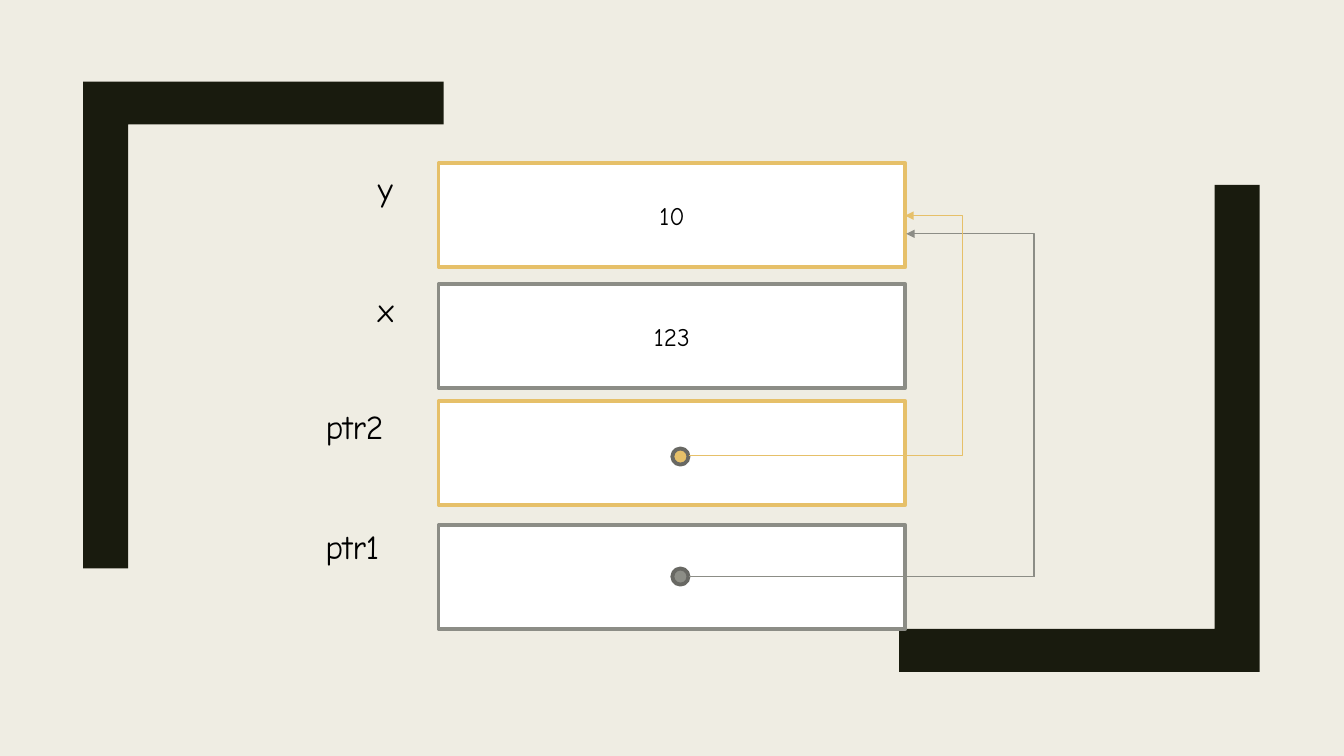
from lxml import etree
from pptx import Presentation, util as u
from pptx.dml.color import RGBColor
from pptx.enum import shapes, text
from pptx.oxml import ns

CREAM = RGBColor(0xEF, 0xED, 0xE3)
INK = RGBColor(0x19, 0x1B, 0x0E)
WHITE = RGBColor(0xFF, 0xFF, 0xFF)
BLACK = RGBColor(0, 0, 0)
GREY = RGBColor(0x8C, 0x8D, 0x86)
GOLD = RGBColor(0xE6, 0xC0, 0x69)
DOT_EDGE = RGBColor(0x68, 0x68, 0x63)

presentation = Presentation()
presentation.slide_width = u.Inches(13.33)
presentation.slide_height = u.Inches(7.5)
slide = presentation.slides.add_slide(presentation.slide_layouts[6])
slide.background.fill.solid()
slide.background.fill.fore_color.rgb = CREAM

# Grid of 100 columns by 100 rows
COLUMN = presentation.slide_width / 100
ROW = presentation.slide_height / 100


def grid(*values):
    """Turn alternating column and row counts into lengths."""
    return [round(value * (ROW if index % 2 else COLUMN))
            for index, value in enumerate(values)]


def write(shape, words, size):
    """Put one formatted run into a shape's first paragraph."""
    run = shape.text_frame.paragraphs[0].add_run()
    run.text = words
    formats = {"name": "Comic Neue", "size": u.Pt(size)}
    for name, value in formats.items():
        setattr(run.font, name, value)
    run.font.color.rgb = BLACK


# Corner brackets: the second is the first turned half round
bracket = [(6.18, 75.2), (6.18, 10.8), (33, 10.8), (33, 16.47),
           (9.53, 16.47), (9.53, 75.2)]
turned = [(99.9 - column, 99.67 - row) for column, row in bracket]
for outline in (turned, bracket):
    points = [grid(*point) for point in outline]
    builder = slide.shapes.build_freeform(*points[0])
    builder.add_line_segments(points[1:], close=True)
    shape = builder.convert_to_shape()
    shape.shadow.inherit = False
    shape.fill.solid()
    shape.fill.fore_color.rgb = INK
    shape.line.fill.background()

# Memory cells: label, value, colour, cell top, label left, top and width
cells = [
    ("ptr1", "", GREY, 69.47, 23.48, 68.93, 6.38),
    ("ptr2", "", GOLD, 53.07, 23.48, 53.07, 6.98),
    ("x", "123", GREY, 37.6, 27.38, 37.6, 3.15),
    ("y", "10", GOLD, 21.6, 27.38, 21.6, 2.85),
]
for label, value, colour, top, label_left, label_top, label_width in cells:
    cell = slide.shapes.add_shape(shapes.MSO_SHAPE.RECTANGLE,
                                  *grid(32.63, top, 34.73, 13.73))
    cell.shadow.inherit = False
    cell.fill.solid()
    cell.fill.fore_color.rgb = WHITE
    cell.line.color.rgb = colour
    cell.line.width = u.Pt(2.75)
    if value:
        cell.text_frame.vertical_anchor = text.MSO_ANCHOR.MIDDLE
        cell.text_frame.paragraphs[0].alignment = text.PP_ALIGN.CENTER
        write(cell, value, 18)

    box = slide.shapes.add_textbox(
        *grid(label_left, label_top, label_width, 6.67))
    frame_formats = {"word_wrap": False,
                     "auto_size": text.MSO_AUTO_SIZE.SHAPE_TO_FIT_TEXT}
    for name, setting in frame_formats.items():
        setattr(box.text_frame, name, setting)
    write(box, label, 24)

# Pointer dots
for colour, top in ((GREY, 75.2), (GOLD, 59.33)):
    dot = slide.shapes.add_shape(shapes.MSO_SHAPE.OVAL,
                                 *grid(50.03, top, 1.2, 2.13))
    dot.shadow.inherit = False
    dot.fill.solid()
    dot.fill.fore_color.rgb = colour
    dot.line.color.rgb = DOT_EDGE
    dot.line.width = u.Pt(2.75)

# Pointer lines: colour, start, end, column of the bend (None if straight)
pointers = [
    (GREY, (76.95, 76.27), (67.43, 30.93), 76.95),
    (GOLD, (51.23, 60.27), (67.35, 28.53), 71.63),
    (GREY, (51.23, 76.27), (76.95, 76.27), None),
]
for colour, start, end, bend in pointers:
    kind = (shapes.MSO_CONNECTOR.STRAIGHT if bend is None
            else shapes.MSO_CONNECTOR.ELBOW)
    connector = slide.shapes.add_connector(kind, *grid(*start, *end))
    connector.line.color.rgb = colour
    connector.line.width = u.Pt(1)
    properties = connector._element.spPr
    if bend is not None:
        share = (bend - start[0]) / (end[0] - start[0])
        guides = properties.find(".//" + ns.qn("a:avLst"))
        etree.SubElement(guides, ns.qn("a:gd"), name="adj1",
                         fmla=f"val {round(share * 100000)}")
        etree.SubElement(properties.find(ns.qn("a:ln")),
                         ns.qn("a:tailEnd"), type="triangle")
    etree.SubElement(properties, ns.qn("a:effectLst"))

presentation.save("out.pptx")
